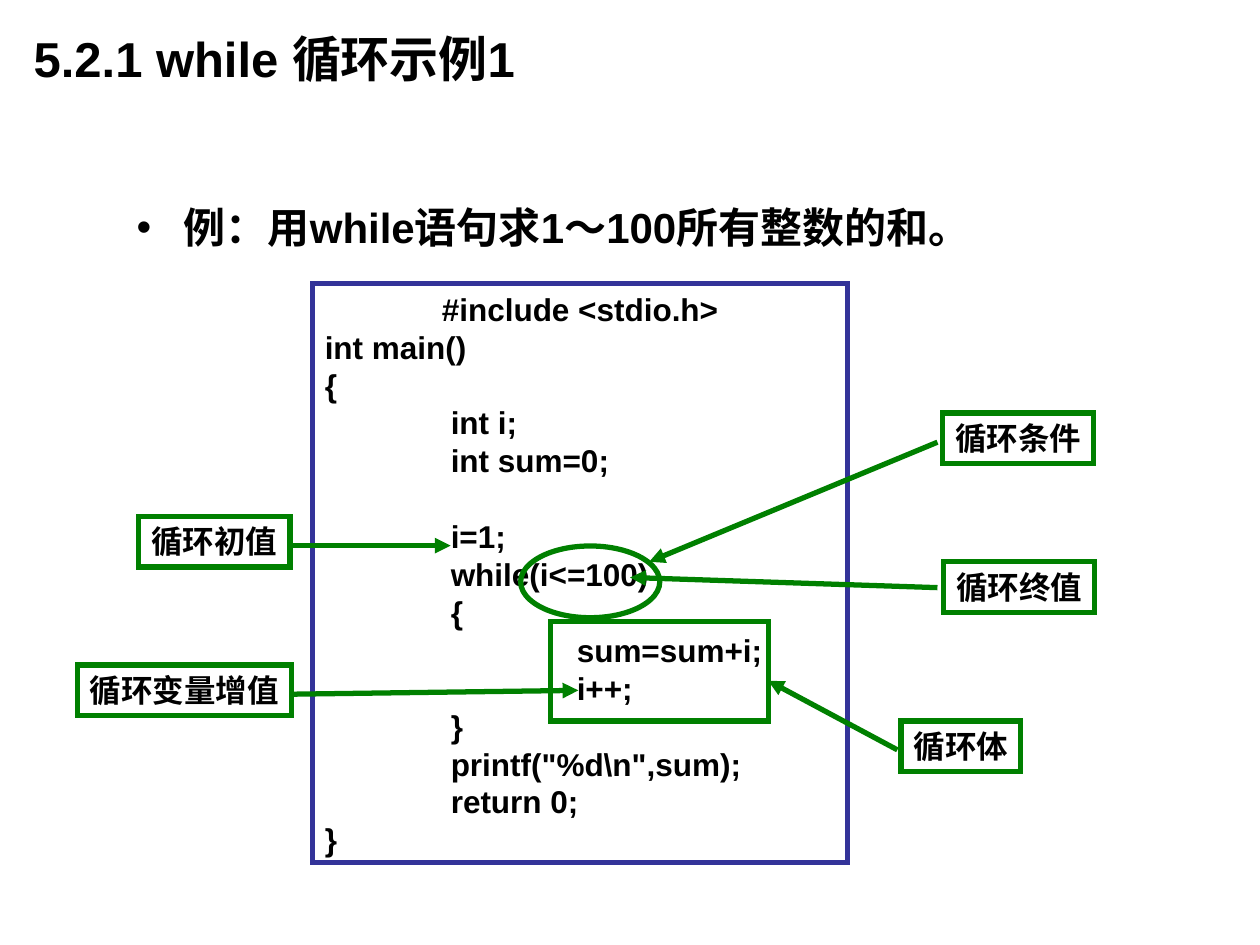
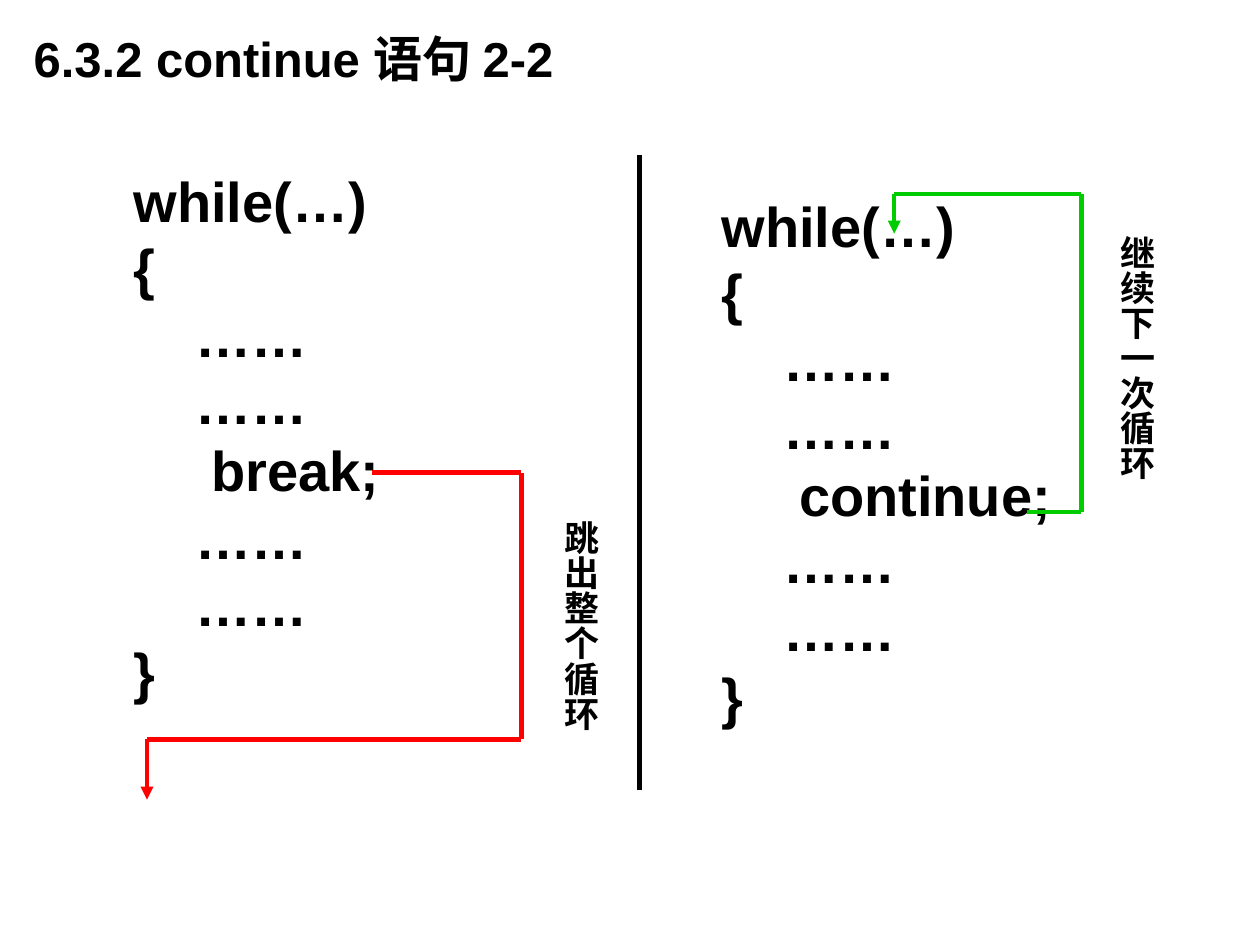
from itertools import pairwise

from lxml import etree
from pptx import Presentation
from pptx.dml.color import RGBColor
from pptx.enum.shapes import MSO_CONNECTOR, MSO_SHAPE
from pptx.enum.text import MSO_ANCHOR
from pptx.oxml.ns import qn
from pptx.util import Pt

RECTANGLE, OVAL = MSO_SHAPE.RECTANGLE, MSO_SHAPE.OVAL
STRAIGHT = MSO_CONNECTOR.STRAIGHT
TOP, MIDDLE = MSO_ANCHOR.TOP, MSO_ANCHOR.MIDDLE

BLACK, WHITE, NAVY = "000000", "FFFFFF", "333399"
DARK_GREEN, GREEN, RED = "008000", "00CC00", "FF0000"
SANS, SERIF = "Arial", "Times New Roman"

SUM_PROGRAM = """#include <stdio.h>
int main()
{
\tint i;
\tint sum=0;

\ti=1;
\twhile(i<=100)
\t{
\t\tsum=sum+i;
\t\ti++;
\t}
\tprintf("%d\\n",sum);
\treturn 0;
}"""

LOOP_TEMPLATE = """while(…)
{{
    ……
    ……
     {jump};
    ……
    ……
}}"""


def color(hex_string):
    return RGBColor.from_string(hex_string)


def add_bullet(paragraph, indent):
    properties = paragraph._p.get_or_add_pPr()
    properties.set("marL", str(Pt(indent)))
    properties.set("indent", str(-Pt(indent)))
    etree.SubElement(properties, qn("a:buFont"), typeface=SANS)
    etree.SubElement(properties, qn("a:buChar"), char="•")


def add_tab_stops(paragraph, stops):
    tab_list = etree.SubElement(paragraph._p.get_or_add_pPr(), qn("a:tabLst"))
    for stop in stops:
        etree.SubElement(tab_list, qn("a:tab"), pos=str(Pt(stop)), algn="l")


def write(shape, text, *, size, font=SANS, pitch=None, anchor=TOP,
          wrap=True, bullet_indent=None, tab_stops=()):
    """Fill a shape with bold text; pitch is the line height in points.

    An empty line becomes space before the next paragraph.
    """
    frame = shape.text_frame
    frame.word_wrap = wrap
    frame.vertical_anchor = anchor
    space_before = 0
    paragraph = None
    for line in text.split("\n"):
        if not line:
            space_before += pitch
            continue
        paragraph = frame.add_paragraph() if paragraph else frame.paragraphs[0]
        if bullet_indent:
            add_bullet(paragraph, bullet_indent)
        if tab_stops:
            add_tab_stops(paragraph, tab_stops)
        if pitch:
            paragraph.line_spacing = Pt(pitch)
        if space_before:
            paragraph.space_before = Pt(space_before)
            space_before = 0
        run = paragraph.add_run()
        run.text = line
        run.font.name = font
        run.font.size = Pt(size)
        run.font.bold = True
        run.font.color.rgb = color(BLACK)


class Deck:
    def __init__(self):
        self.presentation = Presentation()
        self.presentation.slide_width = Pt(720)
        self.presentation.slide_height = Pt(540)
        self.slide = None

    def add_slide(self, title):
        blank = self.presentation.slide_layouts[6]
        self.slide = self.presentation.slides.add_slide(blank)
        self.text(title, 12.2, 0, 540, 66, size=28, anchor=MIDDLE)

    def text(self, text, left, top, width, height, **text_format):
        shape = self.slide.shapes.add_textbox(
            Pt(left), Pt(top), Pt(width), Pt(height))
        write(shape, text, **text_format)
        return shape

    def vertical_text(self, text, left, top, width, height):
        shape = self.text(text, left, top, width, height, size=20)
        frame = shape.text_frame
        frame.margin_left = frame.margin_right = Pt(3.6)
        frame.margin_top = frame.margin_bottom = Pt(7.2)
        shape.element.find(".//" + qn("a:bodyPr")).set("vert", "eaVert")

    def outline(self, kind, left, top, width, height,
                line=DARK_GREEN, fill=None):
        """Draw a shape with a thick, sharp-cornered line."""
        shape = self.slide.shapes.add_shape(
            kind, Pt(left), Pt(top), Pt(width), Pt(height))
        shape.shadow.inherit = False
        if fill:
            shape.fill.solid()
            shape.fill.fore_color.rgb = color(fill)
        else:
            shape.fill.background()
        shape.line.color.rgb = color(line)
        shape.line.width = Pt(3)
        etree.SubElement(shape.element.spPr.find(qn("a:ln")),
                         qn("a:miter"), lim="800000")
        return shape

    def label(self, text, left, top):
        """Draw a framed label as wide as its full-width characters."""
        size = 18
        shape = self.outline(RECTANGLE, left, top, len(text) * size + 14.4, 29)
        write(shape, text, size=size, font=SERIF, wrap=False)

    def route(self, *points, line=DARK_GREEN, width=3, arrow=True):
        """Join the points with straight lines, the last one with an arrow."""
        for start, end in pairwise(points):
            connector = self.slide.shapes.add_connector(
                STRAIGHT, *map(Pt, start + end))
            connector.line.color.rgb = color(line)
            connector.line.width = Pt(width)
            etree.SubElement(connector.element.spPr, qn("a:effectLst"))
        if arrow:
            etree.SubElement(connector.element.spPr.find(qn("a:ln")),
                             qn("a:tailEnd"), type="triangle")


def add_while_example(deck):
    deck.add_slide("5.2.1 while 循环示例1")
    deck.text("例：用while语句求1～100所有整数的和。", 71, 111.6, 595.5, 348,
              size=24, bullet_indent=27)
    program = deck.outline(RECTANGLE, 178.5, 162, 306, 331, NAVY, WHITE)
    write(program, SUM_PROGRAM, size=18, pitch=21.65, tab_stops=(72, 144))

    deck.outline(OVAL, 297.5, 312, 79.5, 41)
    deck.outline(RECTANGLE, 314.5, 355, 124.5, 57)
    callouts = (
        ("循环终值", (539.3, 321), (535.7, 335.8), (360, 330)),
        ("循环条件", (538.7, 236), (535.7, 252.7), (371, 321)),
        ("循环体", (514.8, 412), (512.8, 428.5), (439, 389)),
        ("循环变量增值", (44.2, 380), (167, 396.7), (330.5, 394.5)),
        ("循环初值", (79.3, 295), (167, 311.8), (257.5, 311.8)),
    )
    for text, position, start, end in callouts:
        deck.route(start, end)
        deck.label(text, *position)


def add_jump_comparison(deck):
    deck.add_slide("6.3.2 continue 语句 2-2")
    deck.route((365.5, 88.5), (365.5, 451.5), line=BLACK, arrow=False)
    for jump, left, top in (("continue", 405.2, 105.6), ("break", 69.2, 91.5)):
        deck.text(LOOP_TEMPLATE.format(jump=jump), left, top, 217, 315,
                  size=32, pitch=38.5)
    deck.route((587, 292.5), (618, 292.5), (618, 111), (511, 111), (511, 133.5),
               line=GREEN, width=2.5)
    deck.route((212.5, 270), (298, 270), (298, 422.5), (84, 422.5), (84, 457),
               line=RED, width=2.5)
    deck.vertical_text("跳出整个循环", 309.6, 290.5, 38, 142)
    deck.vertical_text("继续下一次循环", 627, 127.5, 38, 164)


def main():
    deck = Deck()
    add_while_example(deck)
    add_jump_comparison(deck)
    deck.presentation.save("out.pptx")


if __name__ == "__main__":
    main()
